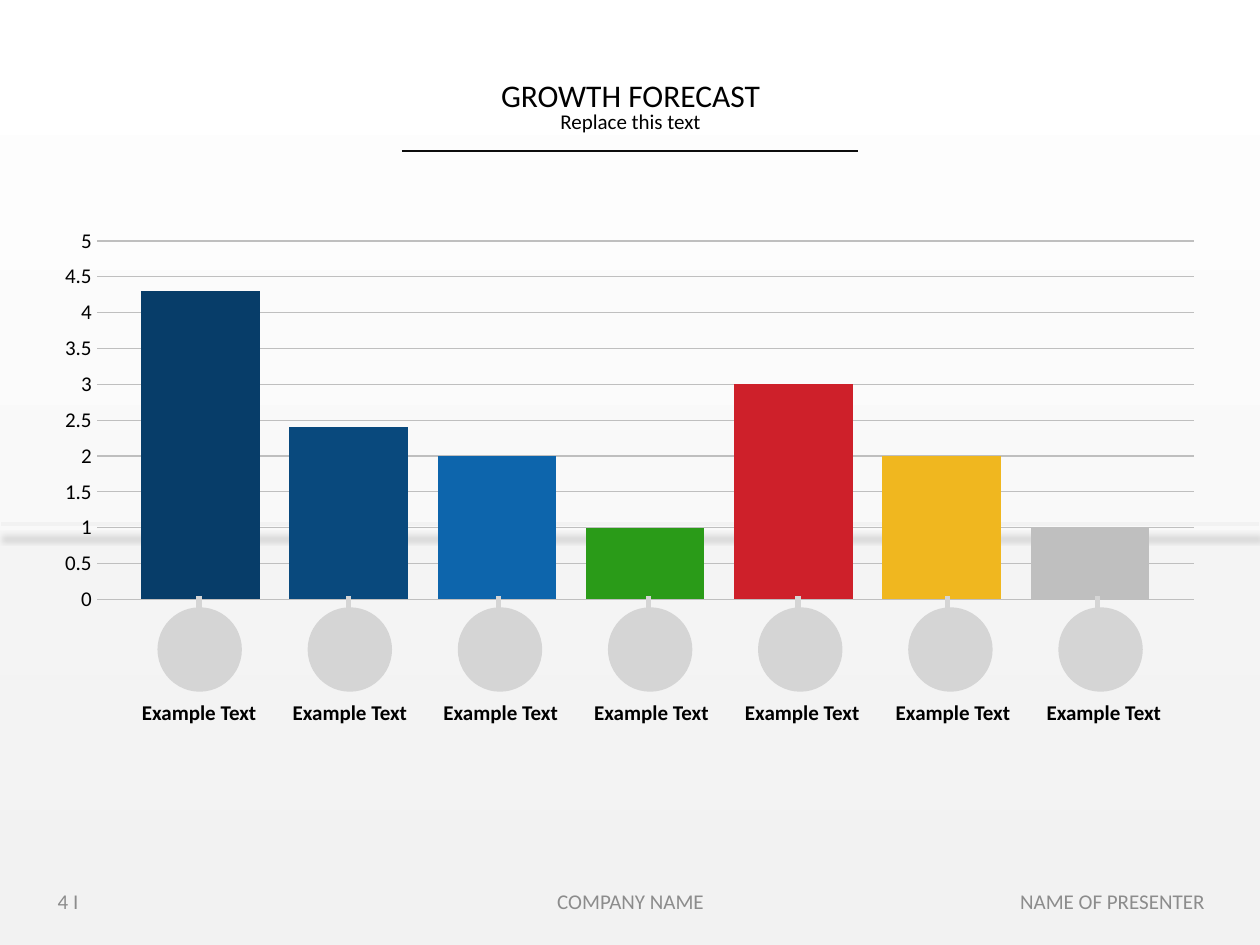
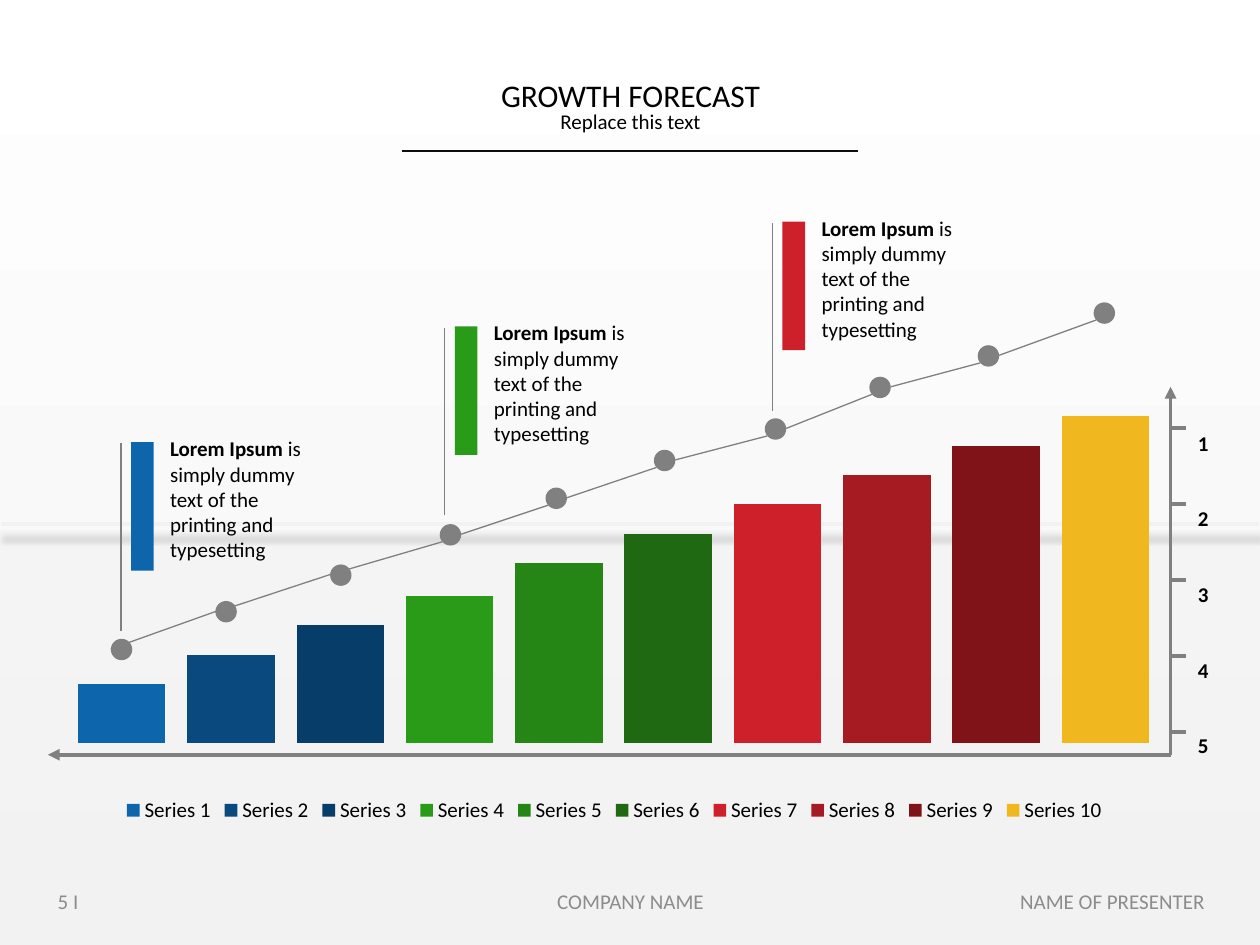
from typing import NamedTuple

from lxml import etree
from pptx import Presentation
from pptx.chart.data import CategoryChartData
from pptx.dml.color import RGBColor
from pptx.enum.chart import XL_CHART_TYPE, XL_LEGEND_POSITION, XL_TICK_MARK
from pptx.enum.shapes import MSO_CONNECTOR, MSO_SHAPE
from pptx.enum.text import MSO_ANCHOR, MSO_AUTO_SIZE, PP_ALIGN
from pptx.oxml import parse_xml
from pptx.oxml.ns import nsdecls, qn
from pptx.util import Inches, Pt

COLUMNS = XL_CHART_TYPE.COLUMN_CLUSTERED
LEGEND_BOTTOM = XL_LEGEND_POSITION.BOTTOM
NO_TICK = XL_TICK_MARK.NONE
STRAIGHT = MSO_CONNECTOR.STRAIGHT
RECTANGLE, OVAL = MSO_SHAPE.RECTANGLE, MSO_SHAPE.OVAL
TOP, MIDDLE = MSO_ANCHOR.TOP, MSO_ANCHOR.MIDDLE
LEFT, CENTER, RIGHT = PP_ALIGN.LEFT, PP_ALIGN.CENTER, PP_ALIGN.RIGHT
NO_FIT = MSO_AUTO_SIZE.NONE

FONT = "Calibri"
BLACK = RGBColor(0x00, 0x00, 0x00)
WHITE = RGBColor(0xFF, 0xFF, 0xFF)
PALE = RGBColor(0xF2, 0xF2, 0xF2)
RULE = RGBColor(0x0D, 0x0D, 0x0D)
FOOTER_GRAY = RGBColor(0x8C, 0x8C, 0x8C)
GRAY = RGBColor(0x80, 0x80, 0x80)
LIGHT_GRAY = RGBColor(0xD5, 0xD5, 0xD5)
SILVER = RGBColor(0xBF, 0xBF, 0xBF)
NAVY = RGBColor(0x07, 0x3D, 0x69)
DARK_BLUE = RGBColor(0x09, 0x49, 0x7D)
BLUE = RGBColor(0x0D, 0x65, 0xAC)
GREEN = RGBColor(0x2A, 0x9B, 0x18)
MID_GREEN = RGBColor(0x25, 0x85, 0x15)
DARK_GREEN = RGBColor(0x1E, 0x69, 0x11)
RED = RGBColor(0xCE, 0x20, 0x2A)
MID_RED = RGBColor(0xA6, 0x1A, 0x21)
DARK_RED = RGBColor(0x7F, 0x13, 0x18)
YELLOW = RGBColor(0xF0, 0xB7, 0x1F)


class Box(NamedTuple):
    left: float
    top: float
    width: float
    height: float


class Bar(NamedTuple):
    value: float
    color: RGBColor


class Point(NamedTuple):
    x: float
    y: float


class Callout(NamedTuple):
    stem_top: Point
    color: RGBColor


FORECAST_BARS = [Bar(4.3, NAVY), Bar(2.4, DARK_BLUE), Bar(2, BLUE), Bar(1, GREEN),
                 Bar(3, RED), Bar(2, YELLOW), Bar(1, SILVER)]
TREND_BARS = [Bar(18, BLUE), Bar(27, DARK_BLUE), Bar(36, NAVY), Bar(45, GREEN),
              Bar(55, MID_GREEN), Bar(64, DARK_GREEN), Bar(73, RED),
              Bar(82, MID_RED), Bar(91, DARK_RED), Bar(100, YELLOW)]

# Top left corners of the trend dots
DOT_SIZE = 0.17
DOTS = [Point(0.88, 5.07), Point(1.71, 4.77), Point(2.62, 4.48), Point(3.49, 4.16),
        Point(4.33, 3.87), Point(5.19, 3.57), Point(6.07, 3.32), Point(6.9, 2.99),
        Point(7.76, 2.74), Point(8.68, 2.4)]
# The first links run through their dots, the later ones from edge to edge
FIRST_LINKS = [(Point(0.88, 5.15), Point(1.86, 4.8)),
               (Point(1.71, 4.86), Point(2.62, 4.56)),
               (Point(2.62, 4.56), Point(3.51, 4.3))]
CALLOUTS = [Callout(Point(0.96, 3.52), BLUE), Callout(Point(3.53, 2.6), GREEN),
            Callout(Point(6.13, 1.77), RED)]


def spread(first: float, last: float, count: int) -> list[float]:
    step = (last - first) / (count - 1)
    return [first + step * index for index in range(count)]


def inches(box: Box) -> list:
    return [Inches(length) for length in box]


def style_paragraph(para, size=12, color=BLACK, bold=False, align=LEFT) -> None:
    para.alignment = align
    for span in para.runs:
        span.font.name = FONT
        span.font.size = Pt(size)
        span.font.bold = bold
        span.font.color.rgb = color


def add_text(slide, box: Box, text: str, anchor=TOP, wrap=True, **style):
    frame = slide.shapes.add_textbox(*inches(box)).text_frame
    frame.word_wrap = wrap
    frame.vertical_anchor = anchor
    frame.text = text
    for para in frame.paragraphs:
        style_paragraph(para, **style)
    return frame


def add_filled(slide, kind, box: Box, color: RGBColor):
    shape = slide.shapes.add_shape(kind, *inches(box))
    shape.shadow.inherit = False
    shape.fill.solid()
    shape.fill.fore_color.rgb = color
    shape.line.fill.background()
    return shape


def add_line(slide, start: Point, end: Point, color=GRAY, width=0.75, arrow=""):
    """Draw a line; arrow is "headEnd" or "tailEnd" for a triangle at that end."""
    line = slide.shapes.add_connector(STRAIGHT, *inches(start), *inches(end))
    line.line.color.rgb = color
    line.line.width = Pt(width)
    properties = line._element.spPr
    if arrow:
        etree.SubElement(properties.find(qn("a:ln")), qn(f"a:{arrow}"), type="triangle")
    etree.SubElement(properties, qn("a:effectLst"))
    return line


def add_column_chart(slide, box: Box, bars: list[Bar], maximum: float):
    data = CategoryChartData()
    data.categories = ["1"]
    for number, bar in enumerate(bars, 1):
        data.add_series(f"Series {number}", [bar.value])
    chart = slide.shapes.add_chart(COLUMNS, *inches(box), data).chart
    chart.has_title = False
    chart.has_legend = False
    chart.font.name = FONT
    chart.font.size = Pt(18)
    chart.font.color.rgb = BLACK
    chart.category_axis.visible = False
    chart.value_axis.minimum_scale = 0
    chart.value_axis.maximum_scale = maximum
    plot = chart.plots[0]
    plot.vary_by_categories = False
    plot.gap_width = 75
    plot.overlap = -25
    for series, bar in zip(plot.series, bars):
        series.format.fill.solid()
        series.format.fill.fore_color.rgb = bar.color
    return chart


def set_background(deck) -> None:
    fill = deck.slide_master.background.fill
    fill.gradient()
    fill.gradient_angle = 270
    for stop, color in zip(fill.gradient_stops, (WHITE, PALE)):
        stop.color.rgb = color


def add_page(deck, number: int):
    page = deck.slides.add_slide(deck.slide_layouts[5])

    # Horizon: translucent floor and a line with a soft shadow
    floor = add_filled(page, RECTANGLE, Box(0, 4.21, 10, 3.29), PALE)
    floor_color = floor._element.spPr.find(qn("a:solidFill"))[0]
    etree.SubElement(floor_color, qn("a:alpha"), val="49000")
    horizon = add_line(page, Point(0.01, 4.16), Point(9.99, 4.16), PALE, 2)
    horizon._element.spPr.find(qn("a:effectLst")).append(parse_xml(
        f'<a:outerShdw {nsdecls("a")} blurRad="{Pt(3.1)}" dist="{Pt(8)}" dir="5400000">'
        '<a:srgbClr val="000000"><a:alpha val="16000"/></a:srgbClr></a:outerShdw>'))

    # Title with subtitle and rule
    title = page.shapes.title
    title.left, title.top, title.width, title.height = inches(Box(3.4, 0.61, 3.21, 0.5))
    frame = title.text_frame
    frame.auto_size = NO_FIT
    frame.vertical_anchor = TOP
    frame.text = "GROWTH FORECAST\nReplace this text"
    for para, size in zip(frame.paragraphs, (18, 12)):
        style_paragraph(para, size, align=CENTER)
        para.line_spacing = 0.8
    add_line(page, Point(3.19, 1.2), Point(6.81, 1.2), RULE, 1)

    # Footer
    for left, width, text, align in ((0.36, 2.33, f"{number} I", LEFT),
                                     (3.42, 3.17, "COMPANY NAME", CENTER),
                                     (7.33, 2.33, "NAME OF PRESENTER", RIGHT)):
        add_text(page, Box(left, 6.95, width, 0.4), text, MIDDLE,
                 color=FOOTER_GRAY, align=align)
    return page


def add_callout(slide, callout: Callout) -> None:
    x, y = callout.stem_top
    add_line(slide, Point(x, y + 1.49), callout.stem_top)
    add_filled(slide, RECTANGLE, Box(x + 0.08, y - 0.01, 0.18, 1.02), callout.color)
    frame = add_text(slide, Box(x + 0.39, y - 0.11, 1.12, 1.11), "Lorem Ipsum", bold=True)
    frame.margin_left = frame.margin_right = 0
    para = frame.paragraphs[0]
    para.space_after = Pt(6)
    para.add_run().text = " is simply dummy text of the printing and typesetting"
    style_paragraph(para)
    para.runs[0].font.bold = True


def build_forecast(deck) -> None:
    page = add_page(deck, 4)
    chart = add_column_chart(page, Box(0.33, 1.75, 9.33, 3.17), FORECAST_BARS, 5)
    axis = chart.value_axis
    axis.major_unit = 0.5
    axis.major_tick_mark = NO_TICK
    axis.tick_labels.font.size = Pt(12)
    axis.format.line.fill.background()
    axis.major_gridlines.format.line.color.rgb = SILVER
    axis.major_gridlines.format.line.width = Pt(0.75)

    # Circles, stems and labels below the columns
    count = len(FORECAST_BARS)
    for left in spread(1.25, 8.4, count):
        add_filled(page, OVAL, Box(left, 4.82, 0.67, 0.67), LIGHT_GRAY)
    for x in spread(1.58, 8.71, count):
        add_line(page, Point(x, 4.73), Point(x, 4.9), LIGHT_GRAY, 3)
    for left in spread(1.02, 8.2, count):
        add_text(page, Box(left, 5.5, 1.12, 0.3), "Example Text", wrap=False,
                 bold=True, align=CENTER)


def build_trend(deck) -> None:
    page = add_page(deck, 5)
    chart = add_column_chart(page, Box(0.21, 3.07, 9.33, 3.5), TREND_BARS, 109)
    chart.value_axis.visible = False
    chart.value_axis.has_major_gridlines = False
    chart.has_legend = True
    chart.legend.position = LEGEND_BOTTOM
    chart.legend.include_in_layout = False
    chart.legend.font.size = Pt(12)
    plot_area = chart._chartSpace.chart.plotArea
    for old_layout in plot_area.findall(qn("c:layout")):
        plot_area.remove(old_layout)
    layout = etree.Element(qn("c:layout"))
    manual = etree.SubElement(layout, qn("c:manualLayout"))
    for tag, value in (("layoutTarget", "inner"), ("xMode", "edge"), ("yMode", "edge"),
                       ("x", "0.016"), ("y", "0"), ("w", "0.967"), ("h", "0.808")):
        etree.SubElement(manual, qn(f"c:{tag}"), val=value)
    plot_area.insert(0, layout)

    # Axes with ticks and labels
    corner = Point(9.29, 5.99)
    add_line(page, Point(0.38, corner.y), corner, width=2.25, arrow="headEnd")
    add_line(page, corner, Point(corner.x, 3.07), width=2.25, arrow="tailEnd")
    labels = add_text(page, Box(9.41, 2.9, 0.34, 3.23), "1\n2\n3\n4\n5", MIDDLE, bold=True)
    labels.margin_top = labels.margin_bottom = Inches(0.1)
    for para in labels.paragraphs:
        para.line_spacing = 3.0
    for y in spread(3.4, 5.81, 5):
        add_line(page, Point(corner.x, y), Point(9.41, y), width=2.25)

    # Trend line
    for dot in DOTS:
        add_filled(page, OVAL, Box(*dot, DOT_SIZE, DOT_SIZE), GRAY)
    later_links = [(Point(dot.x + DOT_SIZE, dot.y + 0.08), Point(after.x + 0.02, after.y + 0.14))
                   for dot, after in zip(DOTS[3:], DOTS[4:])]
    for start, end in FIRST_LINKS + later_links:
        add_line(page, start, end)
    for callout in CALLOUTS:
        add_callout(page, callout)


def main() -> None:
    deck = Presentation()
    deck.slide_width, deck.slide_height = Inches(10), Inches(7.5)
    set_background(deck)
    build_forecast(deck)
    build_trend(deck)
    deck.save("out.pptx")


if __name__ == "__main__":
    main()
